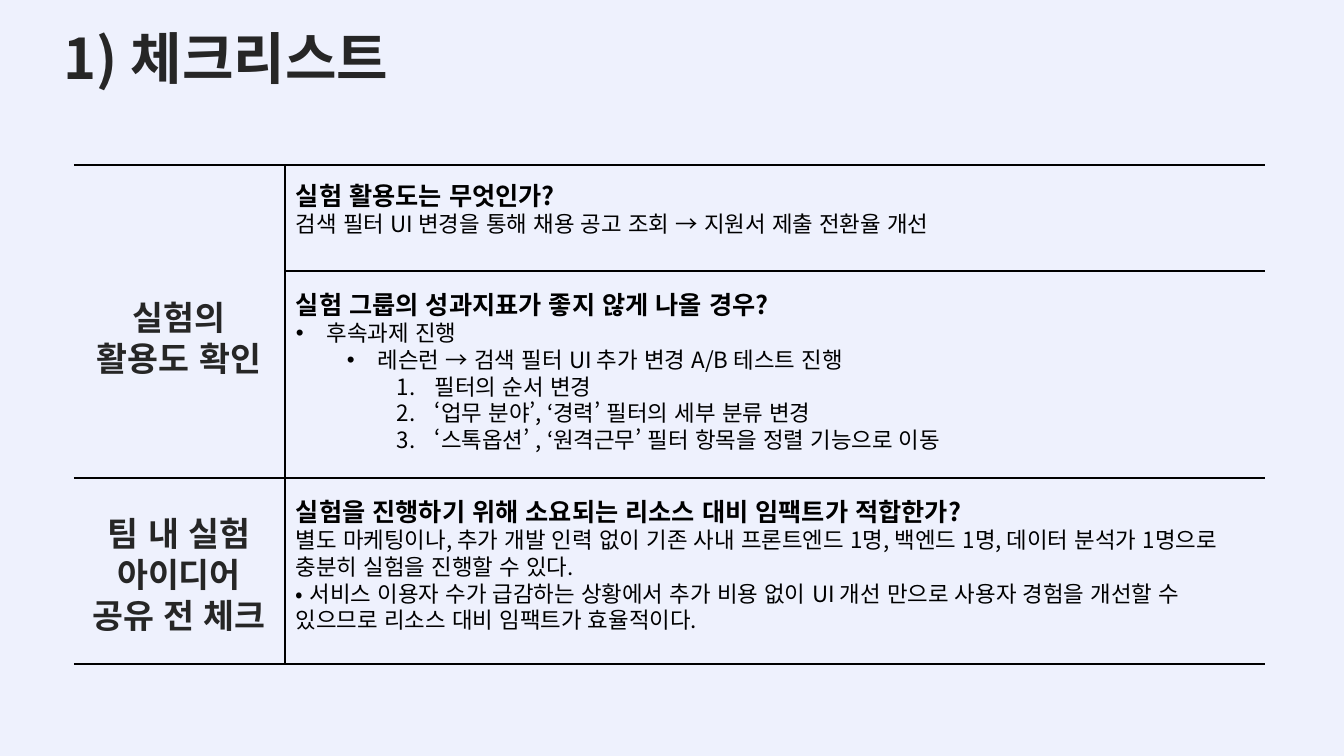
from lxml import etree
from pptx import Presentation
from pptx.dml.color import RGBColor
from pptx.enum.lang import MSO_LANGUAGE_ID
from pptx.enum.shapes import MSO_CONNECTOR
from pptx.enum.text import MSO_ANCHOR, MSO_AUTO_SIZE, PP_ALIGN
from pptx.oxml.ns import qn
from pptx.util import Pt

STRAIGHT = MSO_CONNECTOR.STRAIGHT
TOP = MSO_ANCHOR.TOP
FIXED = MSO_AUTO_SIZE.NONE
LEFT, CENTER = PP_ALIGN.LEFT, PP_ALIGN.CENTER
KOREAN = MSO_LANGUAGE_ID.KOREAN

COLORS = {"back": "EEF1FD", "head": "262626", "text": "000000", "rule": "000000"}
FONT = "Noto Sans CJK KR"
SCALE = 914400 / 100.8

# Paragraph styles: size, bold, colour, alignment
STYLES = {
    "title": (40, True, "head", CENTER),
    "label": (24, True, "head", CENTER),
    "ask": (18, True, "text", LEFT),
    "body": (16, False, "text", LEFT),
}
# List styles: level, left margin, hanging indent, bullet tag and value
LISTS = {
    "dot": (0, 31, 31, "a:buChar", {"char": "•"}),
    "sub": (1, 82, 31, "a:buChar", {"char": "•"}),
    "step": (2, 139, 38, "a:buAutoNum", {"type": "arabicPeriod"}),
}


def px(n):
    return round(n * SCALE)


def color(name):
    return RGBColor.from_string(COLORS[name])


class Page:
    def __init__(self, deck):
        self.slide = deck.slides.add_slide(deck.slide_layouts[5])
        fill = self.slide.background.fill
        fill.solid()
        fill.fore_color.rgb = color("back")

    def title(self, text, x, y, w, h):
        shape = self.slide.shapes.title
        shape.left, shape.top, shape.width, shape.height = map(px, (x, y, w, h))
        self.style(shape.text_frame, [("title", text)])

    def text(self, x, y, w, h, items):
        box = self.slide.shapes.add_textbox(*map(px, (x, y, w, h)))
        self.style(box.text_frame, items)

    def rule(self, x1, y1, x2, y2):
        line = self.slide.shapes.add_connector(STRAIGHT, *map(px, (x1, y1, x2, y2)))
        line.line.color.rgb = color("rule")
        line.line.width = Pt(2)
        etree.SubElement(line._element.spPr, qn("a:effectLst"))

    def style(self, frame, items):
        frame.text = "\n".join(text for _, text in items)
        frame.word_wrap = True
        frame.auto_size = FIXED
        frame.vertical_anchor = TOP
        for para, (kind, _) in zip(frame.paragraphs, items):
            size, bold, tone, align = STYLES.get(kind, STYLES["body"])
            para.alignment = align
            para.line_spacing = Pt(round(size * 1.2))
            if kind in LISTS:
                self.bullet(para, *LISTS[kind])
            for run in para.runs:
                font = run.font
                font.size, font.bold = Pt(size), bold
                font.color.rgb = color(tone)
                font.name = FONT
                font.language_id = KOREAN
                etree.SubElement(run._r.get_or_add_rPr(), qn("a:ea"), typeface=FONT)

    def bullet(self, para, level, margin, hang, tag, value):
        para.level = level
        props = para._p.get_or_add_pPr()
        props.set("marL", str(px(margin)))
        props.set("indent", str(-px(hang)))
        if tag == "a:buChar":
            etree.SubElement(props, qn("a:buFont"), typeface="Arial")
        etree.SubElement(props, qn(tag), value)


def main():
    deck = Presentation()
    deck.slide_width, deck.slide_height = px(1344), px(756)
    page = Page(deck)
    page.title("1) 체크리스트", 41, 18, 370, 78)

    # Grid rules
    left, split, right = 74, 285, 1265
    top, bottom = 165, 664
    for start, y in ((left, top), (split, 271), (left, 478), (left, bottom)):
        page.rule(start, y, right, y)
    page.rule(split, top, split, bottom)

    # Row labels
    page.text(left, 292, 210, 92, [("label", "실험의 활용도 확인")])
    page.text(left, 508, 210, 132, [
        ("label", "팀 내 실험 아이디어"),
        ("label", "공유 전 체크"),
    ])

    # Answers
    page.text(286, 175, 962, 68, [
        ("ask", "실험 활용도는 무엇인가?"),
        ("body", "검색 필터 UI 변경을 통해 채용 공고 조회 → 지원서 제출 전환율 개선"),
    ])
    page.text(286, 284, 979, 183, [
        ("ask", "실험 그룹의 성과지표가 좋지 않게 나올 경우?"),
        ("dot", "후속과제 진행"),
        ("sub", "레슨런 → 검색 필터 UI 추가 변경 A/B 테스트 진행"),
        ("step", "필터의 순서 변경"),
        ("step", "‘업무 분야’, ‘경력’ 필터의 세부 분류 변경"),
        ("step", "‘스톡옵션’ , ‘원격근무’ 필터 항목을 정렬 기능으로 이동"),
    ])
    page.text(286, 491, 986, 149, [
        ("ask", "실험을 진행하기 위해 소요되는 리소스 대비 임팩트가 적합한가?"),
        ("body", "별도 마케팅이나, 추가 개발 인력 없이 기존 사내 프론트엔드 1명, 백엔드 1명, "
                 "데이터 분석가 1명으로 충분히 실험을 진행할 수 있다."),
        ("body", "• 서비스 이용자 수가 급감하는 상황에서 추가 비용 없이 UI 개선 만으로 "
                 "사용자 경험을 개선할 수 있으므로 리소스 대비 임팩트가 효율적이다."),
    ])
    deck.save("out.pptx")


if __name__ == "__main__":
    main()
